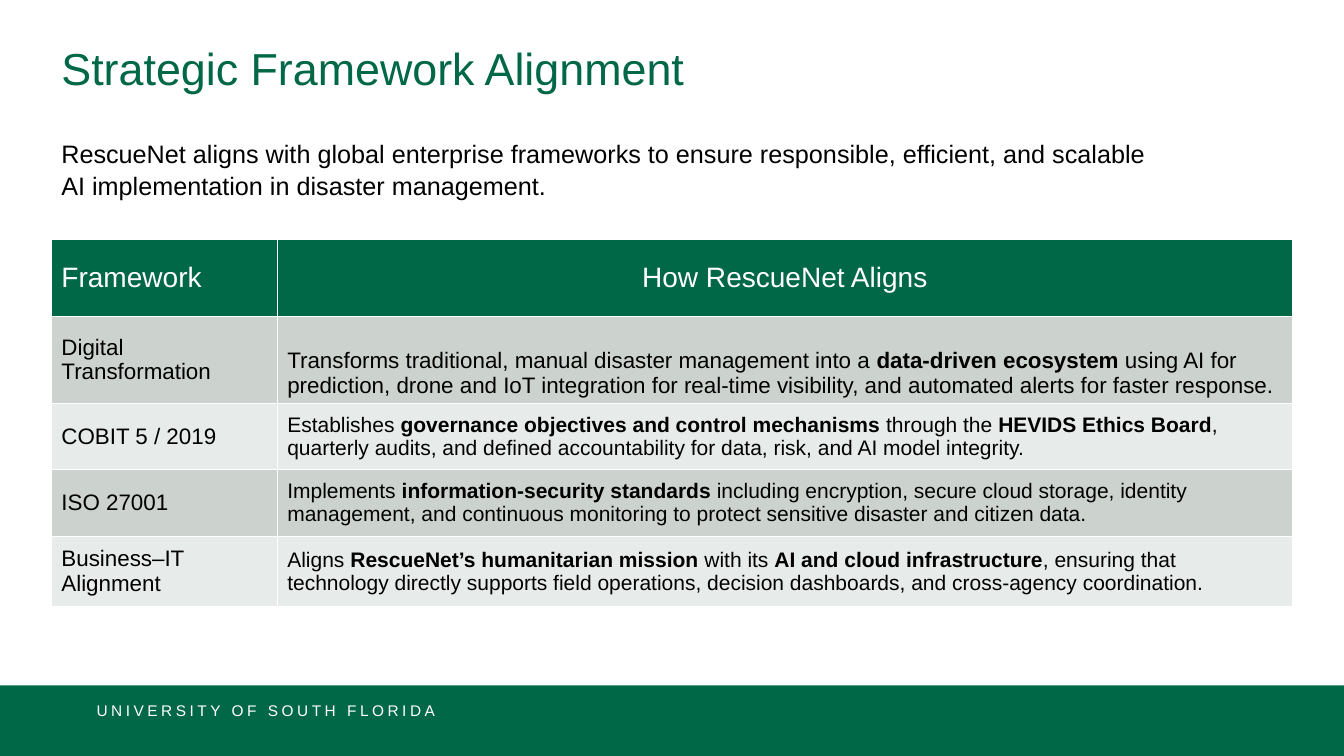
from pptx import Presentation
from pptx.dml.color import RGBColor
from pptx.enum.shapes import MSO_SHAPE
from pptx.enum.text import MSO_ANCHOR, PP_ALIGN
from pptx.util import Inches, Pt

GREEN = RGBColor(0x00, 0x67, 0x47)
WHITE = RGBColor(0xFF, 0xFF, 0xFF)
BLACK = RGBColor(0x00, 0x00, 0x00)
DARK_BAND = RGBColor(0xCC, 0xD3, 0xCF)
LIGHT_BAND = RGBColor(0xE7, 0xEB, 0xE9)
RECTANGLE = MSO_SHAPE.RECTANGLE
TOP, MIDDLE, BOTTOM = MSO_ANCHOR.TOP, MSO_ANCHOR.MIDDLE, MSO_ANCHOR.BOTTOM
LEFT, CENTER = PP_ALIGN.LEFT, PP_ALIGN.CENTER
FONT = "Arial"


def add_run(paragraph, text, size, color, bold=False):
    run = paragraph.add_run()
    run.text = text
    run.font.name = FONT
    run.font.size = Pt(size)
    run.font.color.rgb = color
    run.font.bold = bold
    return run


def fill_cell(cell, pieces, size, color, background):
    cell.fill.solid()
    cell.fill.fore_color.rgb = background
    cell.vertical_anchor = MIDDLE
    paragraph = cell.text_frame.paragraphs[0]
    for position, piece in enumerate(pieces):
        add_run(paragraph, piece, size, color, position % 2 == 1)
    return paragraph


presentation = Presentation()
presentation.slide_width = Inches(13.33)
presentation.slide_height = Inches(7.5)
slide = presentation.slides.add_slide(presentation.slide_layouts[5])

footer_bar = slide.shapes.add_shape(RECTANGLE, 0, Inches(6.8), Inches(13.33), Inches(0.7))
footer_bar.shadow.inherit = False
footer_bar.fill.solid()
footer_bar.fill.fore_color.rgb = GREEN
footer_bar.line.fill.background()

title = slide.shapes.title
title.left, title.top = Inches(0.51), Inches(0.41)
title.width, title.height = Inches(12.98), Inches(1.01)
title.text_frame.vertical_anchor = TOP
paragraph = title.text_frame.paragraphs[0]
paragraph.alignment = LEFT
paragraph.line_spacing = 0.9
add_run(paragraph, "Strategic Framework Alignment", 32, GREEN)

university = slide.shapes.add_textbox(Inches(0.86), Inches(6.9), Inches(8.82), Inches(0.3))
university.text_frame.word_wrap = True
university.text_frame.vertical_anchor = MIDDLE
run = add_run(university.text_frame.paragraphs[0], "UNIVERSITY OF SOUTH FLORIDA", 11, WHITE)
run.font._element.set("spc", "250")

frameworks = [
    ("Digital Transformation", 16, [
        "Transforms traditional, manual disaster management into a ",
        "data-driven ecosystem",
        " using AI for prediction, drone and IoT integration for real-time visibility, "
        "and automated alerts for faster response."]),
    ("COBIT 5 / 2019", 15, [
        "Establishes ",
        "governance objectives and control mechanisms",
        " through the ",
        "HEVIDS Ethics Board",
        ", quarterly audits, and defined accountability for data, risk, and AI model integrity."]),
    ("ISO 27001", 15, [
        "Implements ",
        "information-security standards",
        " including encryption, secure cloud storage, identity management, and continuous "
        "monitoring to protect sensitive disaster and citizen data."]),
    ("Business–IT Alignment", 15, [
        "Aligns ",
        "RescueNet’s humanitarian mission",
        " with its ",
        "AI and cloud infrastructure",
        ", ensuring that technology directly supports field operations, decision dashboards, "
        "and cross-agency coordination."]),
]

table = slide.shapes.add_table(
    len(frameworks) + 1, 2, Inches(0.51), Inches(2.38), Inches(12.31), Inches(3.65)).table
for column, width in zip(table.columns, (2.24, 10.07)):
    column.width = Inches(width)
for row, height in zip(table.rows, (0.76, 0.86, 0.66, 0.66, 0.7)):
    row.height = Inches(height)

fill_cell(table.cell(0, 0), ["Framework"], 20, WHITE, GREEN)
heading = fill_cell(table.cell(0, 1), ["How RescueNet Aligns"], 20, WHITE, GREEN)
heading.alignment = CENTER
for index, (framework, size, pieces) in enumerate(frameworks, start=1):
    band = DARK_BAND if index % 2 else LIGHT_BAND
    fill_cell(table.cell(index, 0), [framework], 16, BLACK, band)
    fill_cell(table.cell(index, 1), pieces, size, BLACK, band)
table.cell(1, 1).vertical_anchor = BOTTOM

introduction = slide.shapes.add_textbox(Inches(0.51), Inches(1.3), Inches(11.02), Inches(0.71))
introduction.text_frame.word_wrap = True
paragraph = introduction.text_frame.paragraphs[0]
paragraph.line_spacing = 1.07
add_run(
    paragraph,
    "RescueNet aligns with global enterprise frameworks to ensure responsible, efficient, "
    "and scalable AI implementation in disaster management.",
    18, BLACK)

presentation.save("out.pptx")
